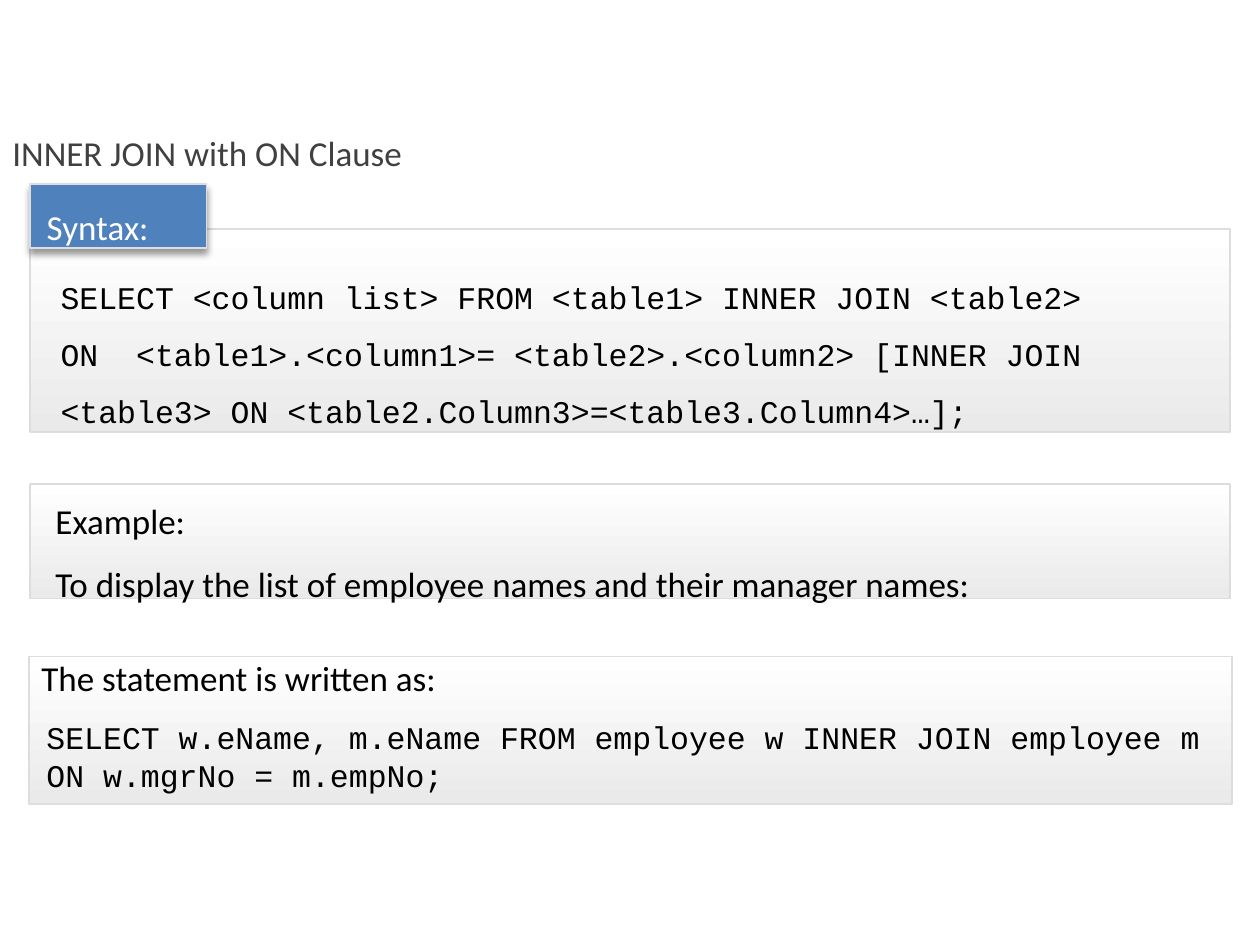
import pptx
import pptx.dml.color
import pptx.enum.shapes
import pptx.enum.text
import pptx.oxml
import pptx.oxml.ns
import pptx.util
from pptx.util import Inches

COLORS = {
    "title": "404040",
    "text": "000000",
    "label_text": "FFFFFF",
    "label": "4F81BD",
    "border": "DDDDDD",
    "panel_top": "FFFFFF",
    "panel_bottom": "EAEAEA",
}
ANCHOR = pptx.enum.text.MSO_ANCHOR


def rgb(name):
    return pptx.dml.color.RGBColor.from_string(COLORS[name])


def write(shape, lines, font, size, color, margins=(0.1, 0.05, 0.1, 0.05),
          anchor=ANCHOR.TOP, line_spacing=1, space=0):
    """Fill a shape with left-aligned lines; margins are left, top, right, bottom."""
    frame = shape.text_frame
    frame.text = "\n".join(lines)
    frame.word_wrap = True
    frame.vertical_anchor = anchor
    (frame.margin_left, frame.margin_top,
     frame.margin_right, frame.margin_bottom) = map(Inches, margins)
    for paragraph in frame.paragraphs:
        paragraph.alignment = pptx.enum.text.PP_ALIGN.LEFT
        paragraph.line_spacing = line_spacing
        paragraph.space_before = paragraph.space_after = pptx.util.Pt(space)
        for run in paragraph.runs:
            run.font.name = font
            run.font.size = pptx.util.Pt(size)
            run.font.color.rgb = rgb(color)


presentation = pptx.Presentation()
presentation.slide_width = Inches(10)
presentation.slide_height = Inches(7.5)
slide = presentation.slides.add_slide(presentation.slide_layouts[6])
shapes = slide.shapes
RECTANGLE = pptx.enum.shapes.MSO_SHAPE.RECTANGLE

# Title
title = shapes.add_textbox(Inches(0), Inches(0.83), Inches(7.09), Inches(0.61))
write(title, ["INNER JOIN with ON Clause"], "Calibri", 20, "title", line_spacing=1.5)

# Syntax panel with its label, in one group
syntax_group = shapes.add_group_shape()
syntax = syntax_group.shapes.add_shape(
    RECTANGLE, Inches(0.24), Inches(1.82), Inches(9.52), Inches(1.61))
write(syntax,
      ["SELECT <column list> FROM <table1> INNER JOIN <table2>",
       "ON  <table1>.<column1>= <table2>.<column2> [INNER JOIN "
       "<table3> ON <table2.Column3>=<table3.Column4>…];"],
      "Courier New", 18, "text", (0.24, 0.24, 0.24, 0), line_spacing=1.5)

label = syntax_group.shapes.add_shape(
    RECTANGLE, Inches(0.24), Inches(1.46), Inches(1.4), Inches(0.51))
write(label, ["Syntax:"], "Calibri", 20, "label_text", (0.13, 0, 0, 0),
      ANCHOR.MIDDLE, line_spacing=1.5)

# Example and statement panels
example = shapes.add_shape(
    RECTANGLE, Inches(0.24), Inches(3.84), Inches(9.52), Inches(0.91))
write(example,
      ["Example:", "To display the list of employee names and their manager names:"],
      "Calibri", 20, "text", (0.2, 0, 0.2, 0), ANCHOR.MIDDLE, line_spacing=1.5)

statement = shapes.add_shape(
    RECTANGLE, Inches(0.23), Inches(5.21), Inches(9.55), Inches(1.17))
write(statement, ["The statement is written as:"], "Calibri", 20, "text",
      (0.1, 0, 0.1, 0), space=6)

query = shapes.add_textbox(Inches(0.27), Inches(5.65), Inches(9.49), Inches(0.71))
write(query,
      ["SELECT w.eName, m.eName FROM employee w INNER JOIN employee m "
       "ON w.mgrNo = m.empNo;"],
      "Courier New", 18, "text")

# Fills, borders and the label's shadow
for panel in (syntax, example, statement):
    panel.fill.gradient()
    panel.fill.gradient_angle = 270  # counter-clockwise: top to bottom
    for stop, color in zip(panel.fill.gradient_stops, ("panel_top", "panel_bottom")):
        stop.color.rgb = rgb(color)

label.fill.solid()
label.fill.fore_color.rgb = rgb("label")

for box in (syntax, label, example, statement):
    box.line.color.rgb = rgb("border")
    box.line.width = pptx.util.Pt(1)
    box.shadow.inherit = False

effects = label._element.spPr.find(pptx.oxml.ns.qn("a:effectLst"))
effects.append(pptx.oxml.parse_xml(
    f'<a:outerShdw {pptx.oxml.ns.nsdecls("a")} blurRad="{pptx.util.Pt(4)}" '
    f'dist="{pptx.util.Pt(3)}" dir="5400000" rotWithShape="0">'
    '<a:srgbClr val="000000"><a:alpha val="40000"/></a:srgbClr></a:outerShdw>'))

presentation.save("out.pptx")
